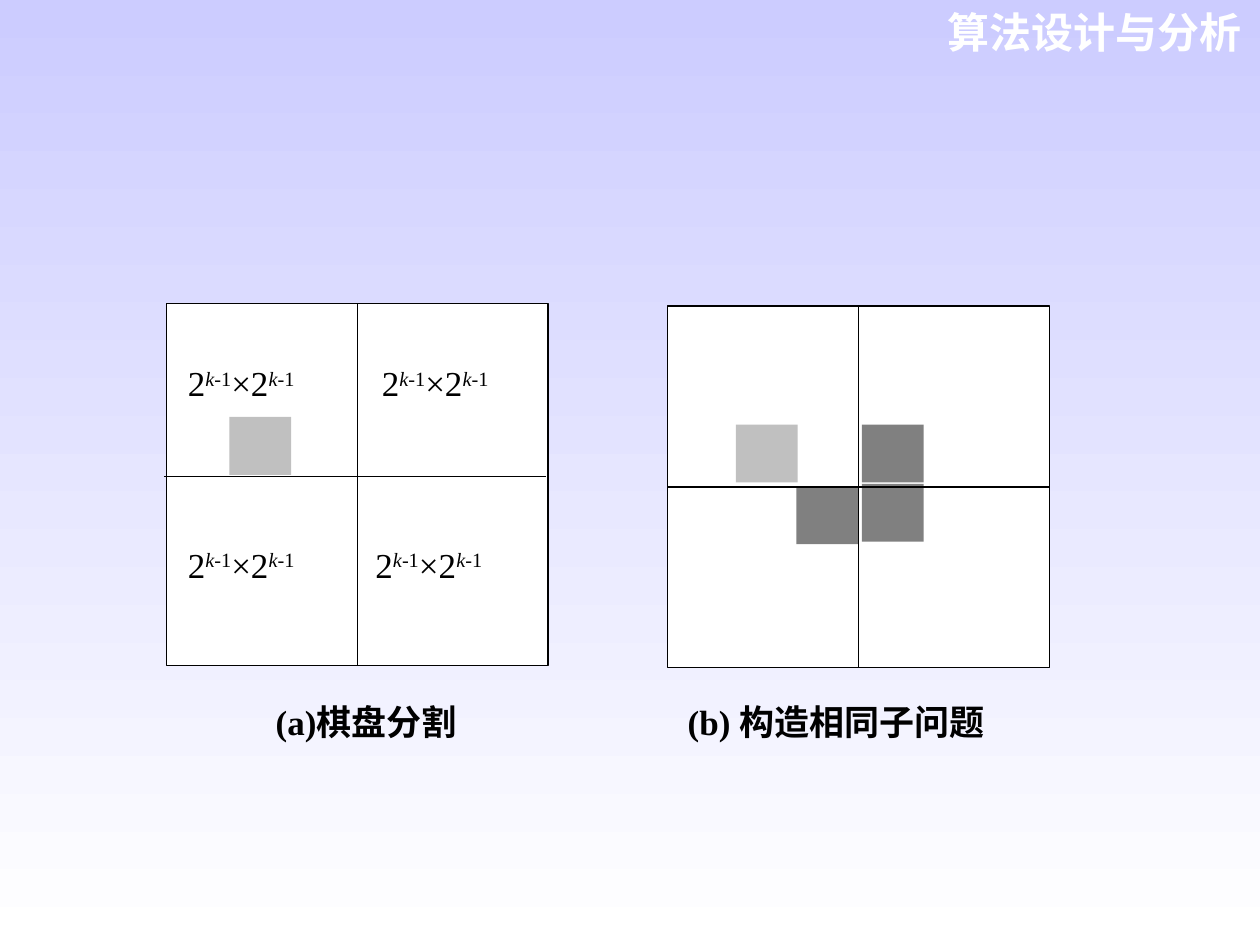
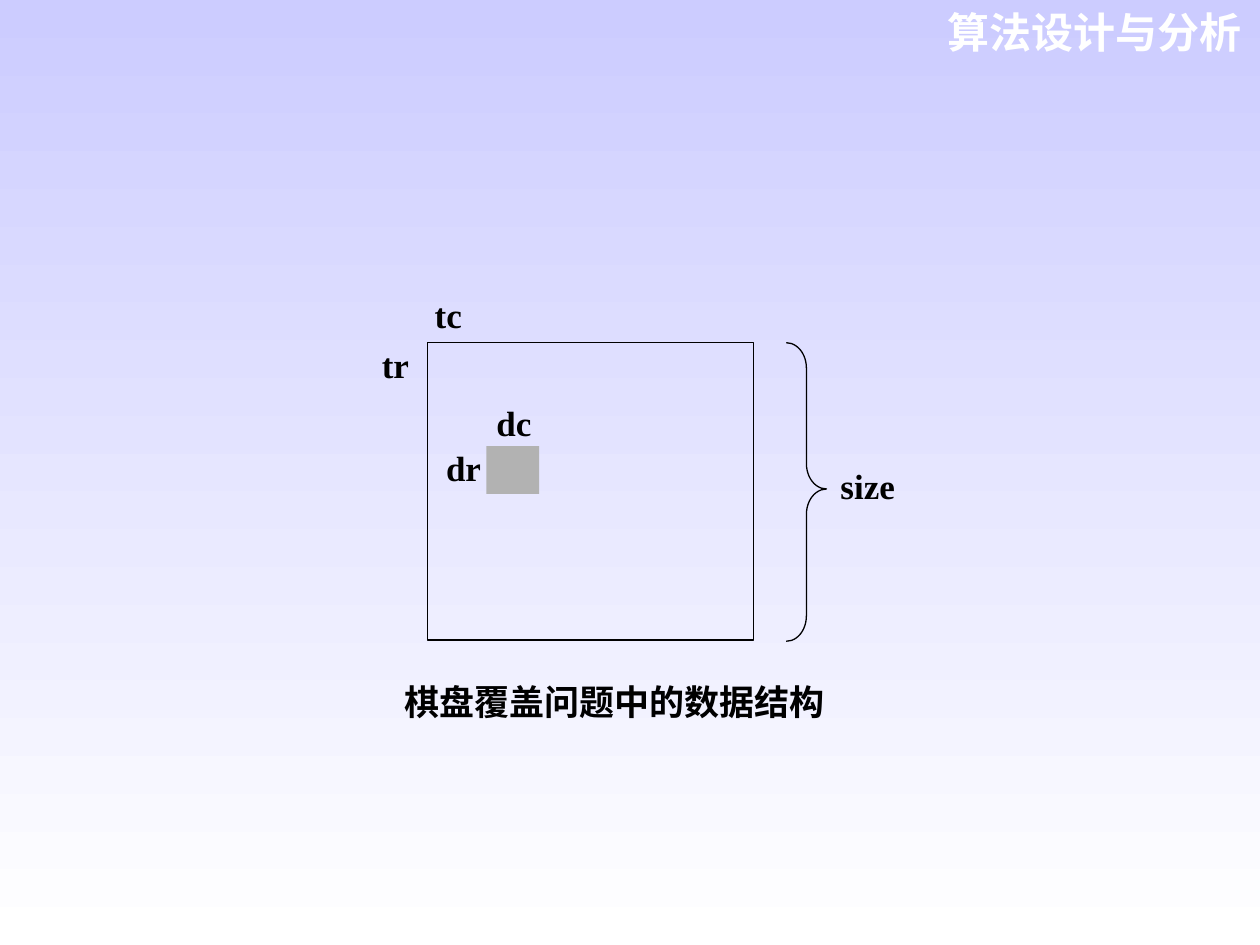
"""Build two slides on the chessboard cover problem."""
from lxml.etree import SubElement
from pptx import Presentation
from pptx.dml.color import RGBColor
from pptx.enum.shapes import MSO_CONNECTOR, MSO_SHAPE
from pptx.enum.text import MSO_ANCHOR, MSO_AUTO_SIZE, PP_ALIGN
from pptx.oxml.ns import qn
from pptx.util import Inches, Pt

SKY = RGBColor(0xCC, 0xCC, 0xFF)
WHITE = RGBColor(0xFF, 0xFF, 0xFF)
BLACK = RGBColor(0x00, 0x00, 0x00)
SILVER = RGBColor(0xC0, 0xC0, 0xC0)
GREY = RGBColor(0x80, 0x80, 0x80)
ASH = RGBColor(0xB2, 0xB2, 0xB2)
LINE_WIDTH = Pt(0.75)
LABEL = {"name": "Times New Roman", "size": Pt(20)}
STRONG = {**LABEL, "bold": True}
HEADER = {"name": "Arial", "size": Pt(24), "bold": True}

deck = Presentation()
deck.slide_width, deck.slide_height = Inches(10), Inches(7.5)
COLUMN, ROW = deck.slide_width / 100, deck.slide_height / 75


def place(page, at, fill=None, line=None, kind=MSO_SHAPE.RECTANGLE):
    """Add a shape at left, top, width and height in grid units."""
    left, top, width, height = at
    box = page.shapes.add_shape(kind, int(left * COLUMN), int(top * ROW), int(width * COLUMN), int(height * ROW))
    box.shadow.inherit = False
    if fill is None:
        box.fill.background()
    else:
        box.fill.solid()
        box.fill.fore_color.rgb = fill
    if line is None:
        box.line.fill.background()
    else:
        box.line.color.rgb = line
        box.line.width = LINE_WIDTH
    return box


def write(box, spans, style, color=BLACK, align=PP_ALIGN.JUSTIFY, inset=(0, 0)):
    """Fill a box with spans of text, italic flag and baseline."""
    frame = box.text_frame
    side, edge = inset[0] * COLUMN, inset[1] * ROW
    layout = {"word_wrap": True, "auto_size": MSO_AUTO_SIZE.NONE, "vertical_anchor": MSO_ANCHOR.TOP,
              "margin_left": int(side), "margin_right": int(side),
              "margin_top": int(edge), "margin_bottom": int(edge)}
    for name, value in layout.items():
        setattr(frame, name, value)
    para = frame.paragraphs[0]
    para.alignment = align
    for text, italic, baseline in spans:
        span = para.add_run()
        span.text = text
        for name, value in {**style, "italic": italic}.items():
            setattr(span.font, name, value)
        span.font.color.rgb = color
        if baseline:
            span.font._element.set("baseline", str(baseline * 1000))
    return para


background = deck.slide_master.background.fill
background.gradient()
background.gradient_angle = 270
for stop, color, position in zip(background.gradient_stops, (SKY, WHITE), (0, 1)):
    stop.color.rgb = color
    stop.position = position

title_only = deck.slide_layouts[5]
pages = [deck.slides.add_slide(title_only) for _ in range(2)]
for page in pages:
    title = page.shapes.title
    frame = {"left": 72.4 * COLUMN, "top": 0, "width": 27.1 * COLUMN, "height": 5 * ROW}
    for name, value in frame.items():
        setattr(title, name, int(value))
    write(title, [("算法设计与分析", False, 0)], HEADER, WHITE, PP_ALIGN.RIGHT, (1, 0.5))

division, structure = pages

split_board = place(division, (13.2, 24.1, 30.3, 28.7), WHITE, BLACK)
cover_board = place(division, (53, 24.3, 30.3, 28.7), WHITE, BLACK)

power = [("2", False, 0), ("k", True, 30), ("-1", False, 30)]
times_power = [("×2", False, 0), *power[1:]]
for top, lefts in ((28.7, (14.9, 30.3)), (43.1, (14.9, 29.8))):
    for left in lefts:
        write(place(division, (left, top, 12.2, 4.4), WHITE), power + times_power, LABEL)

for left, top, color in ((18.2, 33.1, SILVER), (58.4, 33.7, SILVER), (63.2, 38.6, GREY),
                         (68.4, 38.4, GREY), (68.4, 33.7, GREY)):
    place(division, (left, top, 4.9, 4.6), color)

split_ends = [int(value) for value in (13 * COLUMN, 37.8 * ROW, 43.3 * COLUMN, 37.8 * ROW)]
for board, sides in ((split_board, (0, 2)), (cover_board, (0, 2)), (cover_board, (1, 3)), (None, None)):
    divider = division.shapes.add_connector(MSO_CONNECTOR.STRAIGHT, *split_ends)
    divider.line.color.rgb = BLACK
    divider.line.width = LINE_WIDTH
    SubElement(divider._element.spPr, qn("a:effectLst"))
    if board is not None:
        divider.begin_connect(board, sides[0])
        divider.end_connect(board, sides[1])

captions = place(division, (20.9, 55.6, 63.3, 6.3))
para = write(captions, [("(a)棋盘分割\t(b) 构造相同子问题", False, 0)], STRONG, inset=(1, 0))
tabs = SubElement(para._p.get_or_add_pPr(), qn("a:tabLst"))
SubElement(tabs, qn("a:tab"), pos=str(int(32.7 * COLUMN)), algn="l")

place(structure, (33.9, 27.2, 25.9, 23.6), line=BLACK)
place(structure, (38.6, 35.4, 4.2, 3.8), ASH)
brace = place(structure, (62.4, 27.2, 3.2, 23.7), line=BLACK, kind=MSO_SHAPE.RIGHT_BRACE)
brace.adjustments[0] = 0.63
brace.adjustments[1] = 0.49

for text, left, top, width in (("dc", 39.4, 31.9, 3.7), ("dr", 35.4, 35.4, 3.7), ("tr", 30.3, 27.3, 2.9),
                               ("tc", 34.5, 23.3, 3.7), ("size", 66.7, 36.9, 5.5)):
    write(place(structure, (left, top, width, 3.1)), [(text, False, 0)], STRONG)
write(place(structure, (31.1, 54, 37, 6.3)), [("棋盘覆盖问题中的数据结构", False, 0)],
      {**STRONG, "name": "Arial"}, inset=(1, 0))

deck.save("out.pptx")
